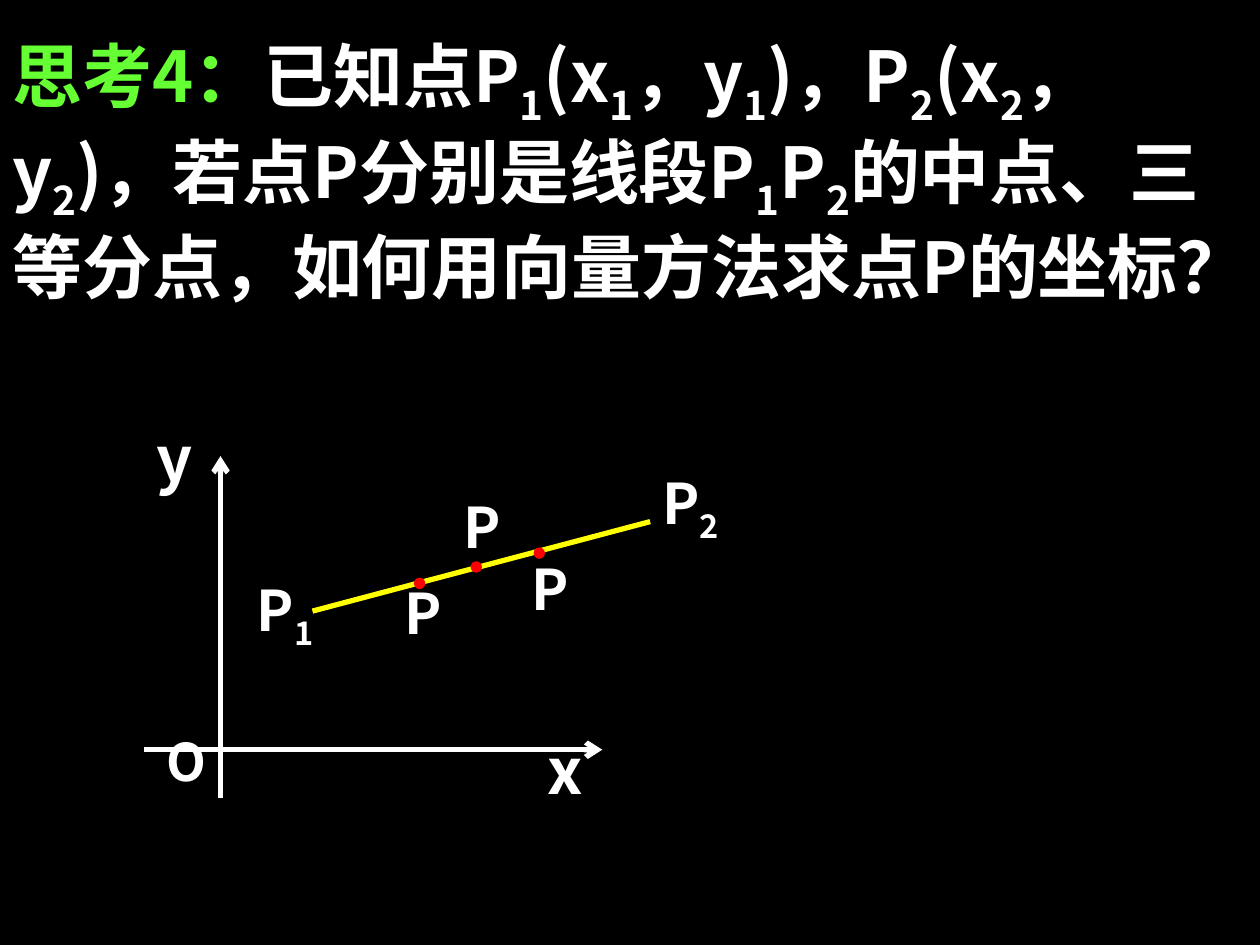
"""Build the slide on finding midpoint and trisection points with vectors."""
from lxml import etree
from pptx import Presentation
from pptx.dml.color import RGBColor
from pptx.enum.shapes import MSO_CONNECTOR, MSO_SHAPE
from pptx.enum.text import MSO_AUTO_SIZE, PP_ALIGN
from pptx.oxml.ns import qn
from pptx.util import Inches, Pt

STRAIGHT = MSO_CONNECTOR.STRAIGHT
OVAL = MSO_SHAPE.OVAL
GROW, FIXED = MSO_AUTO_SIZE.SHAPE_TO_FIT_TEXT, MSO_AUTO_SIZE.NONE
LEFT, JUSTIFY = PP_ALIGN.LEFT, PP_ALIGN.JUSTIFY
BLACK = RGBColor(0x00, 0x00, 0x00)
WHITE = RGBColor(0xFF, 0xFF, 0xFF)
GREEN = RGBColor(0x66, 0xFF, 0x33)
YELLOW = RGBColor(0xFF, 0xFF, 0x00)
RED = RGBColor(0xFF, 0x00, 0x00)
FONT = "Noto Sans CJK SC"
DOT = 0.08

presentation = Presentation()
presentation.slide_width = Inches(10)
presentation.slide_height = Inches(7.5)
slide = presentation.slides.add_slide(presentation.slide_layouts[6])
slide.background.fill.solid()
slide.background.fill.fore_color.rgb = BLACK
shapes = slide.shapes


def add_run(paragraph, text, size, color, subscript=False):
    run = paragraph.add_run()
    run.text = text
    for name, value in {"size": Pt(size), "bold": True, "name": FONT}.items():
        setattr(run.font, name, value)
    run.font.color.rgb = color
    properties = run._r.get_or_add_rPr()
    etree.SubElement(properties, qn("a:ea")).set("typeface", FONT)
    if subscript:
        properties.set("baseline", "-25000")


def add_text(box, pieces, size, auto_size=GROW, alignment=LEFT, line_spacing=None):
    frame = shapes.add_textbox(*map(Inches, box)).text_frame
    frame.word_wrap = True
    frame.auto_size = auto_size
    paragraph = frame.paragraphs[0]
    paragraph.alignment = alignment
    paragraph.line_spacing = line_spacing
    for text, color in pieces:
        first, *others = text.split("_")
        add_run(paragraph, first, size, color)
        for part in others:
            add_run(paragraph, part[0], size, color, subscript=True)
            if part[1:]:
                add_run(paragraph, part[1:], size, color)


question = (
    "已知点P_1(x_1，y_1)，P_2(x_2，y_2)，若点P分别是线段P_1P_2"
    "的中点、三等分点，如何用向量方法求点P的坐标？"
)
add_text((0, 0.21, 10, 2.95), [("思考4：", GREEN), (question, WHITE)], 40)

lines = [
    ((1.75, 6.33, 1.75, 3.62), WHITE, True),
    ((1.14, 5.95, 4.78, 5.95), WHITE, True),
    ((2.48, 4.85, 5.16, 4.14), YELLOW, False),
]
for ends, color, has_arrow in lines:
    connector = shapes.add_connector(STRAIGHT, *map(Inches, ends))
    connector.line.color.rgb = color
    connector.line.width = Pt(3)
    if has_arrow:
        outline = connector.line._get_or_add_ln()
        etree.SubElement(outline, qn("a:tailEnd")).set("type", "arrow")
    etree.SubElement(connector._element.spPr, qn("a:effectLst"))

axis_labels = [
    ("x", (4.25, 5.76, 0.91, 0.9), 36, None),
    ("y", (1.14, 3.28, 0.91, 0.9), 36, None),
    ("O", (1.22, 5.8, 0.55, 0.62), 29.6, 0.9),
]
for text, box, size, line_spacing in axis_labels:
    add_text(box, [(text, WHITE)], size, FIXED, JUSTIFY, line_spacing)

for left, top in [(3.74, 4.46), (3.29, 4.59), (4.24, 4.35)]:
    dot = shapes.add_shape(OVAL, Inches(left), Inches(top), Inches(DOT), Inches(DOT))
    dot.shadow.inherit = False
    dot.fill.solid()
    dot.fill.fore_color.rgb = RED
    dot.line.color.rgb = RED
    dot.line.width = Pt(0.75)

point_labels = [
    ("P_2", (5.16, 3.67, 0.86, 0.71)),
    ("P_1", (1.94, 4.52, 0.94, 0.71)),
    ("P", (3.58, 3.86, 0.63, 0.64)),
    ("P", (3.11, 4.54, 0.63, 0.64)),
    ("P", (4.12, 4.35, 0.63, 0.64)),
]
for text, box in point_labels:
    add_text(box, [(text, WHITE)], 32)

presentation.save("out.pptx")
